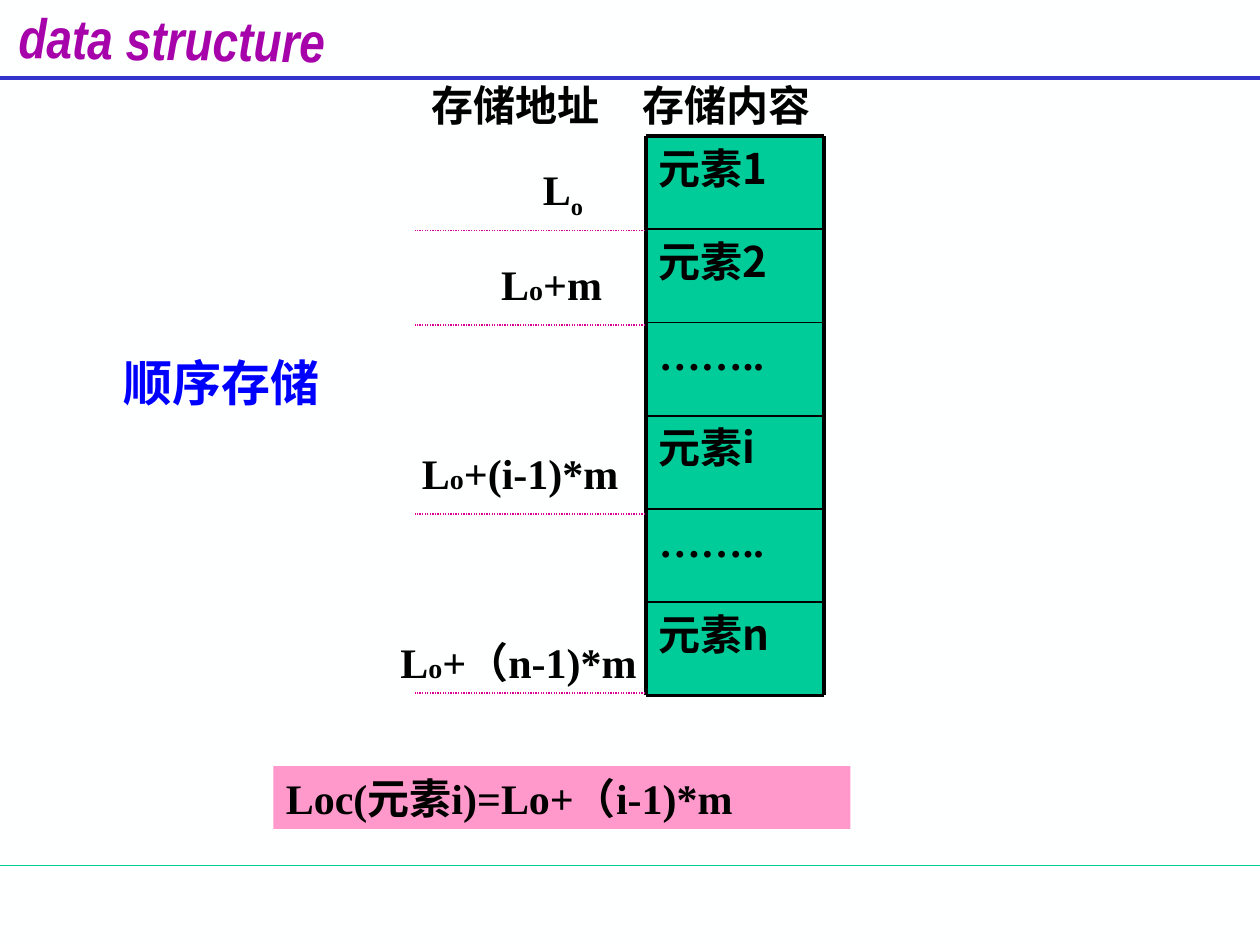
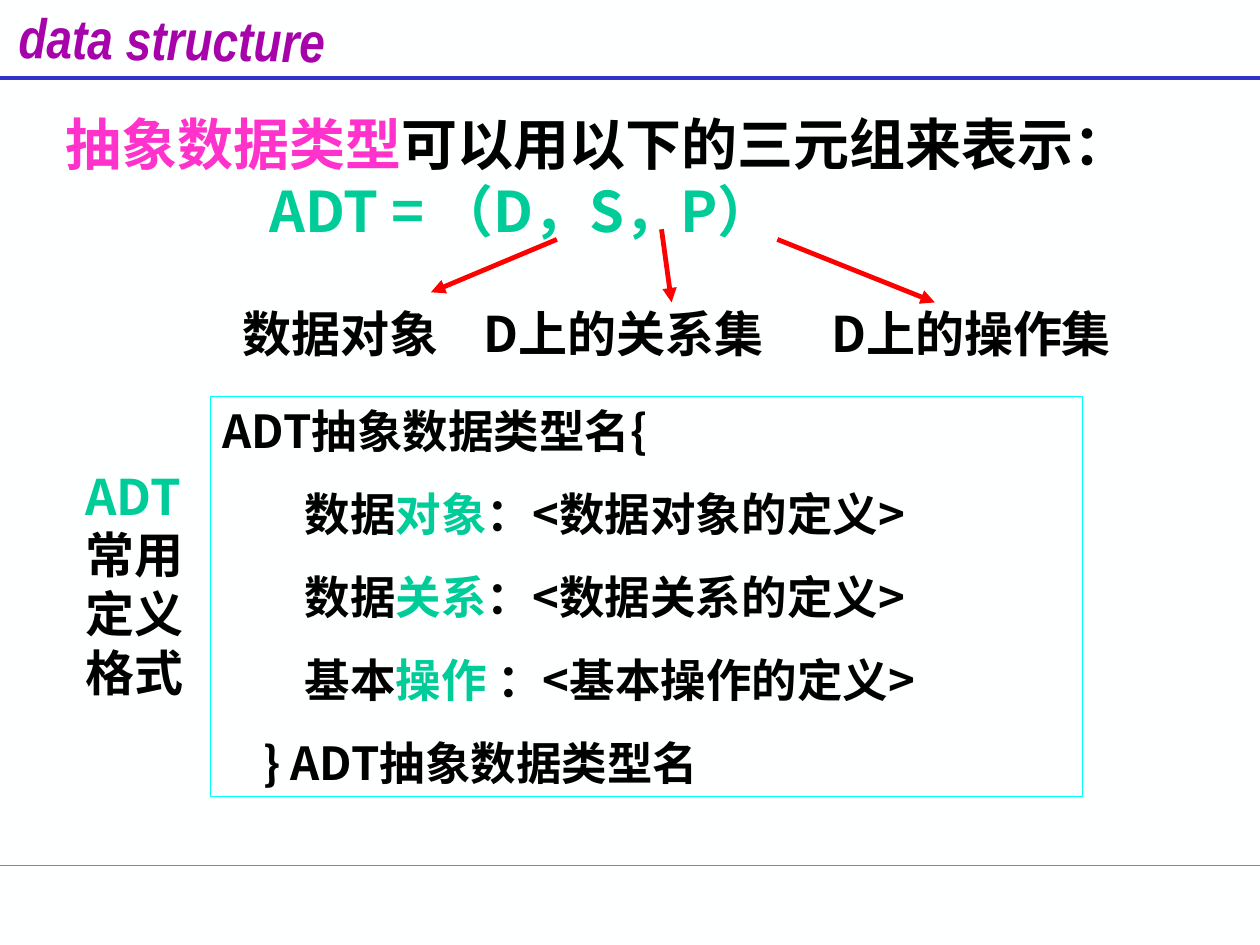
from lxml import etree
from pptx import Presentation
from pptx.dml.color import RGBColor as RGB
from pptx.enum.dml import MSO_LINE as DASH
from pptx.enum.shapes import MSO_CONNECTOR as CONN, MSO_SHAPE as SHAPE
from pptx.enum.text import MSO_ANCHOR as ANCHOR, PP_ALIGN as ALIGN
from pptx.oxml.ns import qn
from pptx.util import Inches, Pt

COLORS = {
    "page": "FEFFFF", "black": "000000", "title": "A603AB", "rule": "3333CC",
    "green": "00CC99", "dots": "D60093", "pink": "FF99CC", "blue": "0000FF",
    "magenta": "FF33CC", "cyan": "00FFFF", "red": "FF0000",
}
SERIF, SANS, NARROW = "Times New Roman", "Noto Sans CJK SC", "Arial Narrow"


def rgb(name):
    """Return the named colour."""
    return RGB.from_string(COLORS[name])


def add_line(s, start, end, color, width, dash=None, arrow=False):
    """Draw a straight line, dashed or with an arrowhead if asked."""
    c = s.shapes.add_connector(CONN.STRAIGHT, *map(Inches, start + end))
    c.line.color.rgb = rgb(color)
    c.line.width = Pt(width)
    if dash:
        c.line.dash_style = dash
    if arrow:
        etree.SubElement(c.line._get_or_add_ln(), qn("a:tailEnd"), type="triangle")
    etree.SubElement(c._element.spPr, qn("a:effectLst"))
    return c


def add_box(s, box, fill=None, line=None):
    """Add a flat rectangle with an optional fill and outline."""
    sp = s.shapes.add_shape(SHAPE.RECTANGLE, *map(Inches, box))
    sp.shadow.inherit = False
    if fill:
        sp.fill.solid()
        sp.fill.fore_color.rgb = rgb(fill)
    else:
        sp.fill.background()
    if line:
        sp.line.color.rgb = rgb(line)
        sp.line.width = Pt(0.75)
    else:
        sp.line.fill.background()
    return sp


def add_run(p, text, size, font, color, italic=False):
    """Append one bold run with Latin and East Asian fonts."""
    r = p.add_run()
    r.text = text
    r.font.size, r.font.name = Pt(size), font
    r.font.bold, r.font.italic = True, italic
    r.font.color.rgb = rgb(color)
    etree.SubElement(r._r.get_or_add_rPr(), qn("a:ea"), typeface=SANS)


def add_text(tf, text, size=24, font=SERIF, color="black", italic=False,
             before=0, indent=0, tabs=(), top=0.05, wrap=True):
    """Append a paragraph made of a string or of (text, format) runs."""
    tf.word_wrap, tf.vertical_anchor = wrap, ANCHOR.TOP
    tf.margin_left = tf.margin_right = Inches(0.1)
    tf.margin_top, tf.margin_bottom = Inches(top), Inches(0.05)
    p = tf.add_paragraph() if tf.text else tf.paragraphs[0]
    p.alignment = ALIGN.LEFT
    p.line_spacing, p.space_before = Pt(size * 1.2), Pt(before)
    pPr = p._p.get_or_add_pPr()
    if indent:
        pPr.set("marL", str(Inches(indent)))
        pPr.set("indent", "0")
    if tabs:
        stops = etree.SubElement(pPr, qn("a:tabLst"))
        for x in tabs:
            etree.SubElement(stops, qn("a:tab"), pos=str(Inches(x)), algn="l")
    base = dict(size=size, font=font, color=color, italic=italic)
    for part, fmt in [(text, {})] if isinstance(text, str) else text:
        add_run(p, part, **{**base, **fmt})
    return p


def text_box(s, box):
    """Add an empty text box and return its text frame."""
    return s.shapes.add_textbox(*map(Inches, box)).text_frame


def add_slide(prs):
    """Add a blank slide with the course title and both rules."""
    s = prs.slides.add_slide(prs.slide_layouts[6])
    add_line(s, (0, 6.87), (10, 6.87), "green", 0.75)
    add_line(s, (0, 0.62), (10, 0.62), "rule", 2.25)
    sp = s.shapes.add_textbox(*map(Inches, (0.05, -0.01, 2.9, 0.54)))
    sp.rotation = 0.8
    add_text(sp.text_frame, "data structure", size=32, font=NARROW,
             color="title", italic=True)
    return s


def add_memory(s, cells, left=5.13, top=1.08, width=1.41, pitch=0.74):
    """Stack the memory cells and rule them with a heavy frame."""
    right, bottom = left + width, top + pitch * len(cells)
    for i, cell in enumerate(cells):
        sp = add_box(s, (left, top + i * pitch, width, pitch), fill="green")
        add_text(sp.text_frame, cell, font=SERIF if cell.startswith("…") else SANS)
    for i in range(len(cells) + 1):
        y = top + i * pitch
        add_line(s, (left, y), (right, y), "black", 1 if 0 < i < len(cells) else 2.25)
    for x in (left, right):
        add_line(s, (x, top), (x, bottom), "black", 2.25)


def add_address(s, row, box_left, width, offset, line_y):
    """Label a cell with its address above a dotted line."""
    tf = text_box(s, (box_left, 1.25 + 0.75 * row, width, 0.5))
    p = add_text(tf, [("L", {}), ("o", {"size": 16 if offset else 24})],
                 top=0.05 if offset else 0.1)
    if offset:
        add_run(p, offset, 24, SERIF, "black")
    else:
        p.runs[1].font._element.set("baseline", "-25000")
    add_line(s, (5.12, line_y), (3.29, line_y), "dots", 0.75, dash=DASH.ROUND_DOT)


def storage_slide(prs):
    """Show sequential storage of n elements."""
    s = add_slide(prs)
    add_memory(s, ["元素1", "元素2", "……..", "元素i", "……..", "元素n"])
    for row, left, width, offset, line_y in (
        (0, 4.21, 0.83, "", 1.83),
        (1, 3.88, 1.17, "+m", 2.58),
        (3, 3.25, 2.13, "+(i-1)*m", 4.08),
        (5, 3.08, 2.08, "+（n-1)*m", 5.5),
    ):
        add_address(s, row, left, width, offset, line_y)
    for left, width, heading in ((3.33, 1.71, "存储地址"), (5, 1.58, "存储内容")):
        add_text(text_box(s, (left, 0.58, width, 0.5)), heading)
    formula = add_box(s, (2.17, 6.08, 4.58, 0.5), fill="pink")
    add_text(formula.text_frame, "Loc(元素i)=Lo+（i-1)*m")
    add_text(text_box(s, (0.88, 2.75, 1.75, 0.57)), "顺序存储",
             size=28, color="blue", wrap=False)


def adt_slide(prs):
    """Define the abstract data type triple and its usual format."""
    s = add_slide(prs)
    green = {"color": "green"}
    tf = text_box(s, (0.42, 0.82, 9.17, 2.1))
    add_text(tf, [("抽象数据类型", {"color": "magenta"}),
                  ("可以用以下的三元组来表示：", {})], size=32, font=SANS)
    add_text(tf, "ADT = （D，S，P）", size=32, font=SANS, color="green", indent=1.62)
    add_text(tf, "\t数据对象\tD上的关系集\tD上的操作集", size=28, font=SANS,
             before=34, tabs=(1.41, 3.32, 6.08))

    tf = add_box(s, (1.67, 3.15, 6.92, 3.17), line="cyan").text_frame
    fmt = dict(size=26, font=SANS)
    add_text(tf, "ADT抽象数据类型名{", **fmt)
    for kind, part, gap in (("数据", "对象", ""), ("数据", "关系", ""),
                            ("基本", "操作", " ")):
        add_text(tf, [(kind, {}), (part, green), (f"{gap}：<{kind}{part}的定义>", {})],
                 before=16.2, indent=0.65, **fmt)
    add_text(tf, "} ADT抽象数据类型名", before=16.2, indent=0.32, **fmt)

    add_text(text_box(s, (0.58, 3.65, 1.08, 1.97)),
             [("ADT", green), ("常用定义格式", {})], size=28, font=SANS)
    for start, end in (((4.42, 1.9), (3.42, 2.32)), ((5.25, 1.82), (5.33, 2.4)),
                       ((6.17, 1.9), (7.42, 2.4))):
        add_line(s, start, end, "red", 2.75, arrow=True)


def main():
    """Build and save the presentation."""
    prs = Presentation()
    prs.slide_width, prs.slide_height = Inches(10), Inches(7.5)
    fill = prs.slide_master.background.fill
    fill.solid()
    fill.fore_color.rgb = rgb("page")
    storage_slide(prs)
    adt_slide(prs)
    prs.save("out.pptx")


if __name__ == "__main__":
    main()
